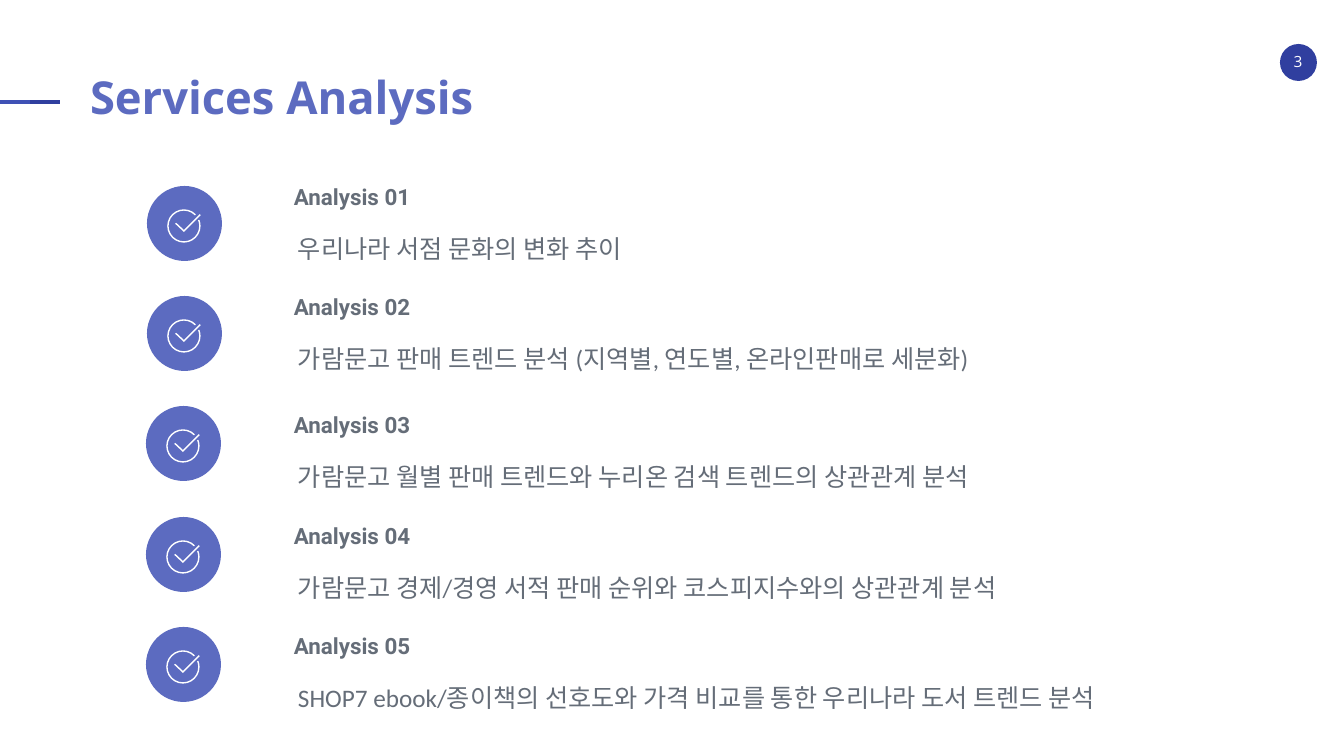
import pptx
import pptx.dml.color
import pptx.enum.shapes
import pptx.enum.text
import pptx.util

SCALE = 914400 / 100.8  # EMU in one px
COLORS = {
    "indigo": "5C6BC0",
    "dark": "303F9F",
    "medium": "3F51B5",
    "gray": "656D78",
    "white": "FFFFFF",
}
SHAPES = pptx.enum.shapes.MSO_SHAPE
ALIGN = pptx.enum.text.PP_ALIGN


def paint(shape, color):
    shape.shadow.inherit = False
    shape.fill.solid()
    shape.fill.fore_color.rgb = pptx.dml.color.RGBColor.from_string(COLORS[color])
    shape.line.fill.background()


def write(box, place, text, font, size, color, bold, align, spacing):
    box.left, box.top, box.width, box.height = [round(n * SCALE) for n in place]
    frame = box.text_frame
    frame.word_wrap = True
    frame.auto_size = pptx.enum.text.MSO_AUTO_SIZE.NONE
    frame.vertical_anchor = pptx.enum.text.MSO_ANCHOR.TOP
    frame.margin_left = frame.margin_top = frame.margin_right = frame.margin_bottom = 0
    para = frame.paragraphs[0]
    para.alignment = align
    para.line_spacing = spacing
    span = para.add_run()
    span.text = text
    span.font.name = font
    span.font.size = pptx.util.Pt(size)
    span.font.bold = bold
    span.font.color.rgb = pptx.dml.color.RGBColor.from_string(COLORS[color])


deck = pptx.Presentation()
deck.slide_width = round(1344 * SCALE)
deck.slide_height = round(756 * SCALE)
page = deck.slides.add_slide(deck.slide_layouts[5])
shapes = page.shapes

# Accent line and page number badge
for kind, place, color in [
    (SHAPES.RECTANGLE, (30, 100, 30, 4), "dark"),
    (SHAPES.RECTANGLE, (0, 100, 30, 4), "medium"),
    (SHAPES.OVAL, (1280, 44, 37, 37), "dark"),
]:
    paint(shapes.add_shape(kind, *[round(n * SCALE) for n in place]), color)
write(shapes.add_textbox(0, 0, 0, 0), (1283, 52, 30, 19), "3",
      "Open Sans", 11, "white", False, ALIGN.CENTER, 1.0)

# Title
write(shapes.title, (90, 75, 1162, 57), "Services Analysis",
      "Open Sans", 32.4, "indigo", True, ALIGN.LEFT, 0.9)

# Check mark outline, in tenths of a px around the icon centre
tick = [(0, 40), (-78, -32), (-88, -22), (0, 60), (168, -108), (158, -119)]

# Analysis rows
topics = [
    "우리나라 서점 문화의 변화 추이",
    "가람문고 판매 트렌드 분석 (지역별, 연도별, 온라인판매로 세분화)",
    "가람문고 월별 판매 트렌드와 누리온 검색 트렌드의 상관관계 분석",
    "가람문고 경제/경영 서적 판매 순위와 코스피지수와의 상관관계 분석",
    "SHOP7 ebook/종이책의 선호도와 가격 비교를 통한 우리나라 도서 트렌드 분석",
]
ROW_PITCH = 110.25
for index, topic in enumerate(topics):
    shift = round(index * ROW_PITCH)
    lower = index >= 2  # the last three rows sit slightly lower and to the left
    disc_left = 146 if lower else 147
    text_top = 175 + shift + (8 if lower else 0)
    icon_x, icon_y = disc_left + 37, 226 + shift

    disc = shapes.add_shape(SHAPES.ROUNDED_RECTANGLE, round(disc_left * SCALE),
                            round((186 + shift) * SCALE), round(75 * SCALE), round(75 * SCALE))
    disc.adjustments[0] = 0.5
    paint(disc, "indigo")

    # Open ring, from 338 degrees back to 316; one degree is 0.6 adjustment units
    ring = shapes.add_shape(SHAPES.ARC, round((icon_x - 16) * SCALE),
                            round((icon_y - 16) * SCALE), round(32 * SCALE), round(32 * SCALE))
    ring.adjustments[0] = 338 * 0.6
    ring.adjustments[1] = 316 * 0.6
    ring.shadow.inherit = False
    ring.fill.background()
    ring.line.color.rgb = pptx.dml.color.RGBColor.from_string(COLORS["white"])
    ring.line.width = pptx.util.Pt(1)

    builder = shapes.build_freeform(*tick[0], scale=SCALE / 10)
    builder.add_line_segments(tick[1:], close=True)
    paint(builder.convert_to_shape(round(icon_x * SCALE), round(icon_y * SCALE)), "white")

    write(shapes.add_textbox(0, 0, 0, 0), (294, text_top, 1016, 52), f"Analysis {index + 1:02d}",
          "Roboto", 16, "gray", True, ALIGN.LEFT, 1.3)
    write(shapes.add_textbox(0, 0, 0, 0), (298, text_top + 62, 1012, 59), topic,
          "Calibri", 18, "gray", False, ALIGN.JUSTIFY, 0.9)

deck.save("out.pptx")
